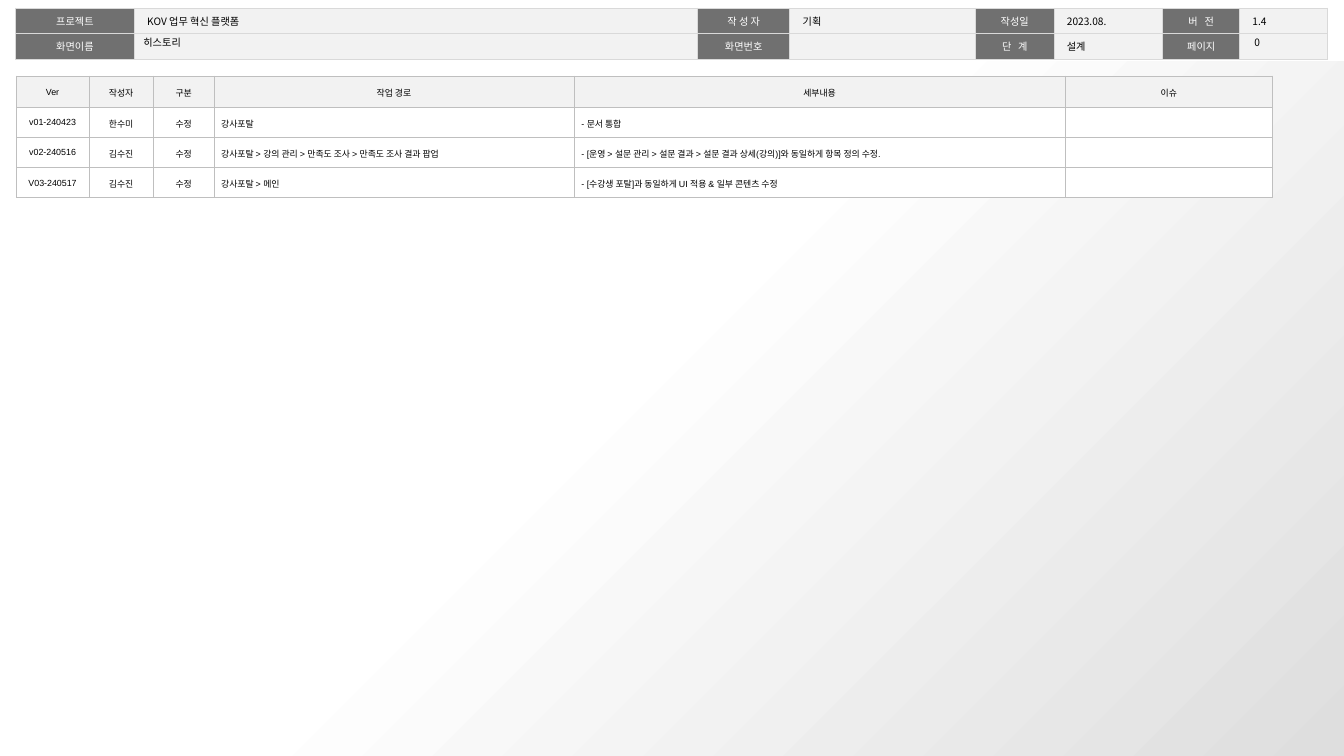
from lxml.etree import SubElement
from pptx import Presentation
from pptx.dml.color import RGBColor
from pptx.enum.shapes import MSO_SHAPE
from pptx.enum.text import MSO_ANCHOR, PP_ALIGN
from pptx.oxml.ns import qn
from pptx.util import Inches, Pt

COLORS = {
    "white": "FFFFFF", "black": "000000", "label": "707070", "pale": "F2F2F2",
    "header_line": "D9D9D9", "history_line": "BFBFBF", "shade": "DEDEDE",
}
KOREAN = "Noto Sans CJK KR"

PROJECT_INFO = [
    ("프로젝트", "KOV 업무 혁신 플랫폼", "작 성 자", "기획", "작성일", "2023.08.", "버   전", "1.4"),
    ("화면이름", "", "화면번호", "", "단   계", "설계", "페이지", ""),
]
PROJECT_COLUMNS = [1.3, 6.16, 1.01, 2.03, 0.86, 1.19, 0.84, 0.96]
PROJECT_ROWS = [0.28, 0.28]

HISTORY = [
    ("Ver", "작성자", "구분", "작업 경로", "세부내용", "이슈"),
    ("v01-240423", "한수미", "수정", "강사포탈", "- 문서 통합", ""),
    ("v02-240516", "김수진", "수정", "강사포탈 > 강의 관리 > 만족도 조사 > 만족도 조사 결과 팝업",
     "- [운영 > 설문 관리 > 설문 결과 > 설문 결과 상세(강의)]와 동일하게 항목 정의 수정.", ""),
    ("V03-240517", "김수진", "수정", "강사포탈 > 메인",
     "- [수강생 포탈]과 동일하게 UI 적용 & 일부 콘텐츠 수정", ""),
]
HISTORY_COLUMNS = [0.79, 0.71, 0.66, 3.94, 5.37, 2.27]
HISTORY_ROWS = [0.34, 0.33, 0.33, 0.33]

CAPTIONS = [("히스토리", 1.47, 5.42), ("0", 13.62, 0.72)]


def color(name):
    return RGBColor.from_string(COLORS[name])


def write(frame, text, size=8, font=KOREAN, ink="black", align=PP_ALIGN.LEFT, spacing=1.0):
    para = frame.paragraphs[0]
    para.alignment = align
    para.line_spacing = spacing
    if not text:
        SubElement(para._p, qn("a:endParaRPr"), sz=str(size * 100))
        return
    span = para.add_run()
    span.text = text
    span.font.size = Pt(size)
    span.font.name = font
    span.font.color.rgb = color(ink)
    SubElement(span.font._element, qn("a:ea"), typeface=KOREAN)


def set_borders(cell, line, width):
    properties = cell._tc.get_or_add_tcPr()
    for position, side in enumerate(("a:lnL", "a:lnR", "a:lnT", "a:lnB")):
        border = SubElement(properties, qn(side), w=str(Pt(width)))
        fill = SubElement(border, qn("a:solidFill"))
        SubElement(fill, qn("a:srgbClr"), val=COLORS[line])
        properties.remove(border)
        properties.insert(position, border)


def add_grid(page, left, top, contents, widths, heights, line, line_width, margins, anchor, style):
    table = page.shapes.add_table(
        len(heights), len(widths), Inches(left), Inches(top),
        Inches(sum(widths)), Inches(sum(heights))).table
    for column, width in zip(table.columns, widths):
        column.width = Inches(width)
    for row, height in zip(table.rows, heights):
        row.height = Inches(height)
    for r, texts in enumerate(contents):
        for c, text in enumerate(texts):
            cell = table.cell(r, c)
            fill, text_format = style(r, c)
            cell.fill.solid()
            cell.fill.fore_color.rgb = color(fill)
            cell.margin_left, cell.margin_top, cell.margin_right, cell.margin_bottom = map(Inches, margins)
            cell.vertical_anchor = anchor
            write(cell.text_frame, text, **text_format)
            set_borders(cell, line, line_width)


def project_style(row, column):
    if column % 2 == 0:
        return "label", {"ink": "white", "align": PP_ALIGN.CENTER, "spacing": 1.05}
    return "pale", {"spacing": 1.05}


def history_style(row, column):
    centred = row == 0 or column < 3
    return "white" if row else "pale", {
        "size": 7, "font": "Arial", "spacing": 1.5,
        "align": PP_ALIGN.CENTER if centred else PP_ALIGN.LEFT}


def add_background(page):
    panel = page.shapes.add_shape(
        MSO_SHAPE.RECTANGLE, Inches(0), Inches(0.67), Inches(14.7), Inches(7.6))
    panel.shadow.inherit = False
    panel.line.fill.background()
    panel.fill.gradient()
    panel.fill.gradient_angle = 315
    for stop, (position, name) in zip(panel.fill.gradient_stops, [(0.45, "white"), (1, "shade")]):
        stop.position = position
        stop.color.rgb = color(name)


def main():
    deck = Presentation()
    deck.slide_width, deck.slide_height = Inches(14.7), Inches(8.27)
    page = deck.slides.add_slide(deck.slide_layouts[6])
    add_grid(page, 0.17, 0.09, PROJECT_INFO, PROJECT_COLUMNS, PROJECT_ROWS, "header_line", 1,
             (0.14, 0.05, 0.14, 0.05), MSO_ANCHOR.TOP, project_style)
    add_background(page)
    for text, left, width in CAPTIONS:
        box = page.shapes.add_textbox(Inches(left), Inches(0.38), Inches(width), Inches(0.16))
        box.text_frame.word_wrap = True
        box.text_frame.vertical_anchor = MSO_ANCHOR.MIDDLE
        write(box.text_frame, text)
    add_grid(page, 0.18, 0.83, HISTORY, HISTORY_COLUMNS, HISTORY_ROWS, "history_line", 0.25,
             (0.08, 0.04, 0.08, 0.08), MSO_ANCHOR.MIDDLE, history_style)
    deck.save("out.pptx")


if __name__ == "__main__":
    main()
